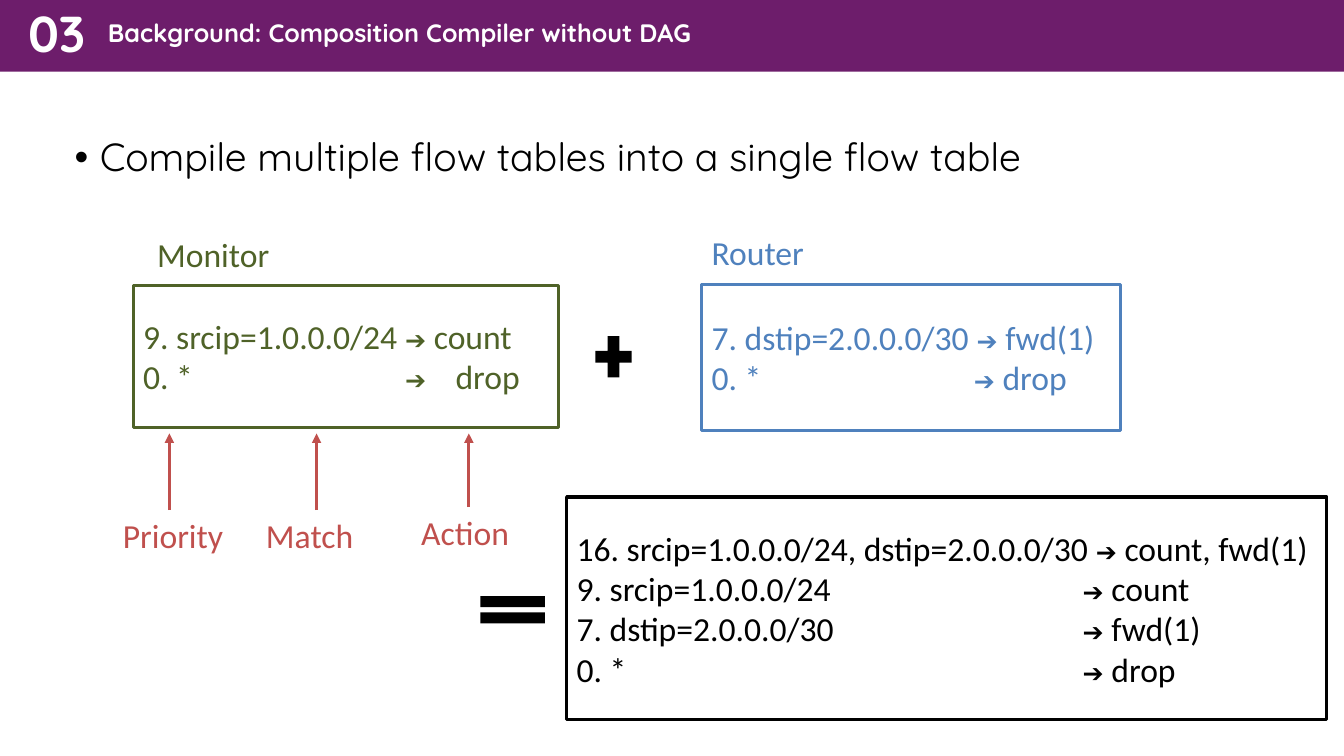
from dataclasses import dataclass

from lxml.etree import SubElement
from pptx import Presentation
from pptx.dml.color import RGBColor
from pptx.enum.shapes import MSO_CONNECTOR, MSO_SHAPE
from pptx.enum.text import MSO_ANCHOR, MSO_AUTO_SIZE, PP_ALIGN
from pptx.oxml.ns import qn
from pptx.util import Inches, Pt

PURPLE, GREEN, BLUE, RED = "6D1D6B", "4F6228", "4F81BD", "C0504D"
BLACK, WHITE = "000000", "FFFFFF"
ARROW = "➔"
ARROW_TOP = 4.3


@dataclass
class Area:
    left: float
    top: float
    width: float
    height: float

    def lengths(self) -> tuple:
        return tuple(Inches(v) for v in (self.left, self.top, self.width, self.height))


@dataclass
class FlowTable:
    area: Area
    color: str
    tabs: list[float]
    rules: list[str]


@dataclass
class Label:
    text: str
    area: Area
    color: str


@dataclass
class Pointer:
    x: float
    bottom: float


FLOW_TABLES = [
    FlowTable(Area(1.32, 2.83, 4.22, 1.41), GREEN, [2.6, 3.1],
              ["9. srcip=1.0.0.0/24 ➔ count", "0. *\t➔\tdrop"]),
    FlowTable(Area(6.96, 2.82, 4.15, 1.45), BLUE, [2.6],
              ["7. dstip=2.0.0.0/30 ➔ fwd(1)", "0. *\t➔ drop"]),
    FlowTable(Area(5.62, 4.93, 7.54, 2.21), BLACK, [5.02],
              ["16. srcip=1.0.0.0/24, dstip=2.0.0.0/30 ➔ count, fwd(1)",
               "9. srcip=1.0.0.0/24\t➔ count",
               "7. dstip=2.0.0.0/30\t➔ fwd(1)",
               "0. *\t➔ drop"]),
]
LABELS = [
    Label("Monitor", Area(1.46, 2.27, 1.96, 0.5), GREEN),
    Label("Router", Area(6.96, 2.25, 1.96, 0.5), BLUE),
    Label("Priority", Area(1.12, 5.06, 1.2, 0.5), RED),
    Label("Match", Area(2.54, 5.06, 1.2, 0.5), RED),
    Label("Action", Area(4.08, 5.03, 1.2, 0.5), RED),
]
POINTERS = [Pointer(1.68, 5.06), Pointer(3.14, 5.06), Pointer(4.65, 5.03)]


def rgb(color: str) -> RGBColor:
    return RGBColor.from_string(color)


def format_span(span, size: float, font: str, color: str, bold: bool = False) -> None:
    span.font.size = Pt(size)
    span.font.name = font
    span.font.bold = bold
    span.font.color.rgb = rgb(color)


def fill_heading(box, area: Area, text: str, size: float, color: str,
                 bold: bool, anchor=MSO_ANCHOR.TOP) -> None:
    box.left, box.top, box.width, box.height = area.lengths()
    frame = box.text_frame
    frame.text = text
    frame.word_wrap = True
    frame.auto_size = MSO_AUTO_SIZE.NONE
    frame.vertical_anchor = anchor
    para = frame.paragraphs[0]
    para.alignment = PP_ALIGN.LEFT
    para.line_spacing = 0.9
    para.space_before = Pt(10)
    format_span(para.runs[0], size, "Quicksand", color, bold)


def add_solid(page, kind, area: Area, fill: str):
    shape = page.shapes.add_shape(kind, *area.lengths())
    shape.shadow.inherit = False
    shape.fill.solid()
    shape.fill.fore_color.rgb = rgb(fill)
    shape.line.fill.background()
    return shape


def set_tabs(para, positions: list[float]) -> None:
    tab_list = SubElement(para._p.get_or_add_pPr(), qn("a:tabLst"))
    for position in positions:
        SubElement(tab_list, qn("a:tab"), pos=str(Inches(position)), algn="l")


def add_flow_table(page, table: FlowTable) -> None:
    box = add_solid(page, MSO_SHAPE.RECTANGLE, table.area, WHITE)
    box.line.color.rgb = rgb(table.color)
    box.line.width = Pt(2.25)
    frame = box.text_frame
    frame.word_wrap = True
    frame.vertical_anchor = MSO_ANCHOR.MIDDLE
    frame.text = "\n".join(table.rules)
    for para, rule in zip(frame.paragraphs, table.rules):
        para.alignment = PP_ALIGN.LEFT
        set_tabs(para, table.tabs)
        match, arrow, action = rule.partition(ARROW)
        para.text = match
        for part in (arrow, action):
            para.add_run().text = part
        for span in para.runs:
            is_arrow = span.text == ARROW
            format_span(span, 18 if is_arrow else 24,
                        "Arial" if is_arrow else "Calibri", table.color)


def add_label(page, label: Label) -> None:
    frame = page.shapes.add_textbox(*label.area.lengths()).text_frame
    frame.text = label.text
    frame.word_wrap = True
    format_span(frame.paragraphs[0].runs[0], 24, "Calibri", label.color)


def add_pointer(page, pointer: Pointer) -> None:
    line = page.shapes.add_connector(
        MSO_CONNECTOR.STRAIGHT, Inches(pointer.x), Inches(pointer.bottom),
        Inches(pointer.x), Inches(ARROW_TOP))
    line.line.color.rgb = rgb(RED)
    line.line.width = Pt(2.25)
    SubElement(line.line._get_or_add_ln(), qn("a:tailEnd"), type="triangle")
    SubElement(line._element.spPr, qn("a:effectLst"))


def add_headings(page) -> None:
    bar = add_solid(page, MSO_SHAPE.RECTANGLE, Area(0, 0, 13.33, 0.71), PURPLE)
    page.shapes._spTree.insert(2, bar._element)
    fill_heading(page.shapes.title, Area(0.97, 0.16, 11.14, 0.4),
                 "Background: Composition Compiler without DAG", 18, WHITE, True)
    number_area = Area(0.18, 0.09, 0.79, 0.53)
    number = page.shapes.add_textbox(*number_area.lengths())
    fill_heading(number, number_area, "03", 36, WHITE, True, MSO_ANCHOR.MIDDLE)
    body = page.placeholders[1]
    fill_heading(body, Area(0.64, 1.32, 10.95, 0.94),
                 "Compile multiple flow tables into a single flow table", 28, BLACK, False)
    properties = body.text_frame.paragraphs[0]._p.get_or_add_pPr()
    properties.set("marL", str(Inches(0.25)))
    properties.set("indent", str(Inches(-0.25)))
    SubElement(properties, qn("a:buFont"), typeface="Arial")
    SubElement(properties, qn("a:buChar"), char="•")


def main() -> None:
    deck = Presentation()
    deck.slide_width, deck.slide_height = Inches(13.33), Inches(7.5)
    page = deck.slides.add_slide(deck.slide_layouts[1])
    add_headings(page)
    add_solid(page, MSO_SHAPE.MATH_PLUS, Area(5.84, 3.26, 0.49, 0.56), BLACK)
    add_solid(page, MSO_SHAPE.MATH_EQUAL, Area(4.65, 5.82, 0.87, 0.46), BLACK)
    for table in FLOW_TABLES:
        add_flow_table(page, table)
    for label in LABELS:
        add_label(page, label)
    for pointer in POINTERS:
        add_pointer(page, pointer)
    deck.save("out.pptx")


if __name__ == "__main__":
    main()
